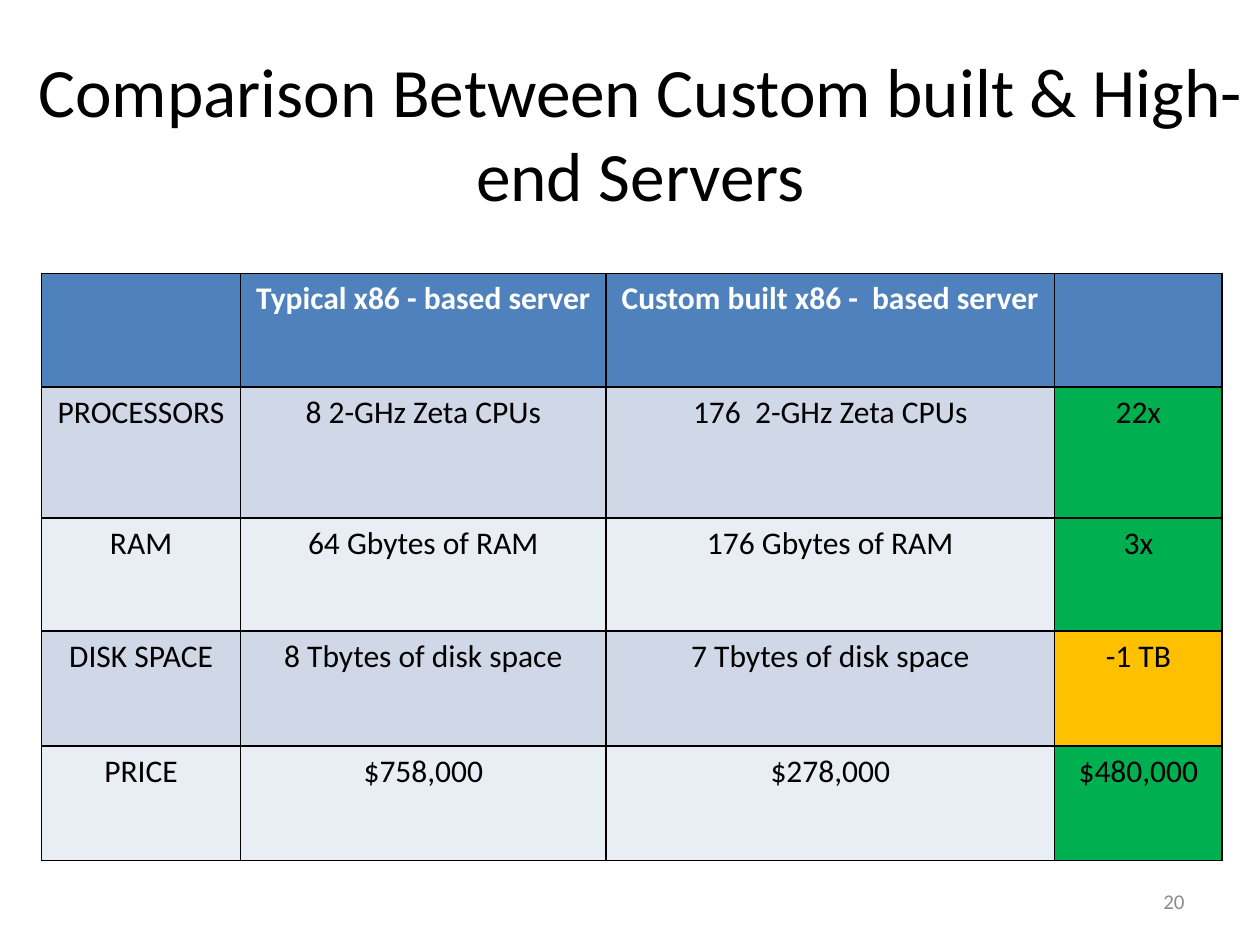
from lxml.etree import SubElement
from pptx import Presentation
from pptx.dml.color import RGBColor
from pptx.enum.text import MSO_ANCHOR, PP_ALIGN
from pptx.oxml.ns import qn
from pptx.util import Inches, Pt

# Content
TITLE = "Comparison Between Custom built & High-end Servers"
PAGE_NUMBER = "20"
ROWS = [
    ["", "Typical x86 - based server", "Custom built x86 -  based server", ""],
    ["PROCESSORS", "8 2-GHz Zeta CPUs", "176  2-GHz Zeta CPUs", "22x"],
    ["RAM", "64 Gbytes of RAM", "176 Gbytes of RAM", "3x"],
    ["DISK SPACE", "8 Tbytes of disk space", "7 Tbytes of disk space", "-1 TB"],
    ["PRICE", "$758,000", "$278,000", "$480,000"],
]

# Style and grid
FONT = "Calibri"
BLACK, WHITE, GREY = "000000", "FFFFFF", "8C8C8C"
HEADER, BANDS = "4F81BD", ("E9EDF4", "D0D8E8")
GAIN, LOSS = "00B050", "FFC000"
COLUMN_WIDTHS = [1.58, 2.9, 3.56, 1.33]
ROW_HEIGHTS = [0.9, 1.04, 0.9, 0.91, 0.91]
TABLE_LEFT, TABLE_TOP = 0.33, 2.17


def color(value):
    return RGBColor.from_string(value)


def write(frame, text, size, ink, align=PP_ALIGN.CENTER, bold=False):
    paragraph = frame.paragraphs[0]
    paragraph.alignment = align
    run = paragraph.add_run()
    run.text = text
    run.font.name = FONT
    run.font.size = Pt(size)
    run.font.bold = bold
    run.font.color.rgb = color(ink)


def add_text(slide, box, *args, **kwargs):
    frame = slide.shapes.add_textbox(*map(Inches, box)).text_frame
    frame.word_wrap = True
    frame.vertical_anchor = MSO_ANCHOR.MIDDLE
    write(frame, *args, **kwargs)


def add_borders(cell):
    properties = cell._tc.get_or_add_tcPr()
    for position, side in enumerate(("lnL", "lnR", "lnT", "lnB")):
        line = SubElement(properties, qn(f"a:{side}"), w=str(Pt(1)))
        fill = SubElement(line, qn("a:solidFill"))
        SubElement(fill, qn("a:srgbClr"), val=BLACK)
        properties.insert(position, line)


def cell_fill(row, column):
    if row == 0:
        return HEADER
    if column == len(COLUMN_WIDTHS) - 1:
        return LOSS if ROWS[row][column].startswith("-") else GAIN
    return BANDS[row % 2]


def add_comparison(slide):
    table = slide.shapes.add_table(
        len(ROWS), len(COLUMN_WIDTHS), Inches(TABLE_LEFT), Inches(TABLE_TOP),
        Inches(sum(COLUMN_WIDTHS)), Inches(sum(ROW_HEIGHTS))).table
    for column, width in zip(table.columns, COLUMN_WIDTHS):
        column.width = Inches(width)
    for row, height in zip(table.rows, ROW_HEIGHTS):
        row.height = Inches(height)
    for row, texts in enumerate(ROWS):
        for column, text in enumerate(texts):
            cell = table.cell(row, column)
            cell.fill.solid()
            cell.fill.fore_color.rgb = color(cell_fill(row, column))
            add_borders(cell)
            if text:
                write(cell.text_frame, text, 18, BLACK if row else WHITE,
                      bold=row == 0)


def main():
    presentation = Presentation()
    presentation.slide_width, presentation.slide_height = Inches(10), Inches(7.5)
    slide = presentation.slides.add_slide(presentation.slide_layouts[6])

    # Title, table, page number
    add_text(slide, (0, 0.42, 10.17, 1.25), TITLE, 39.6, BLACK)
    add_comparison(slide)
    add_text(slide, (7.17, 6.95, 2.33, 0.4), PAGE_NUMBER, 12, GREY,
             align=PP_ALIGN.RIGHT)
    presentation.save("out.pptx")


if __name__ == "__main__":
    main()
